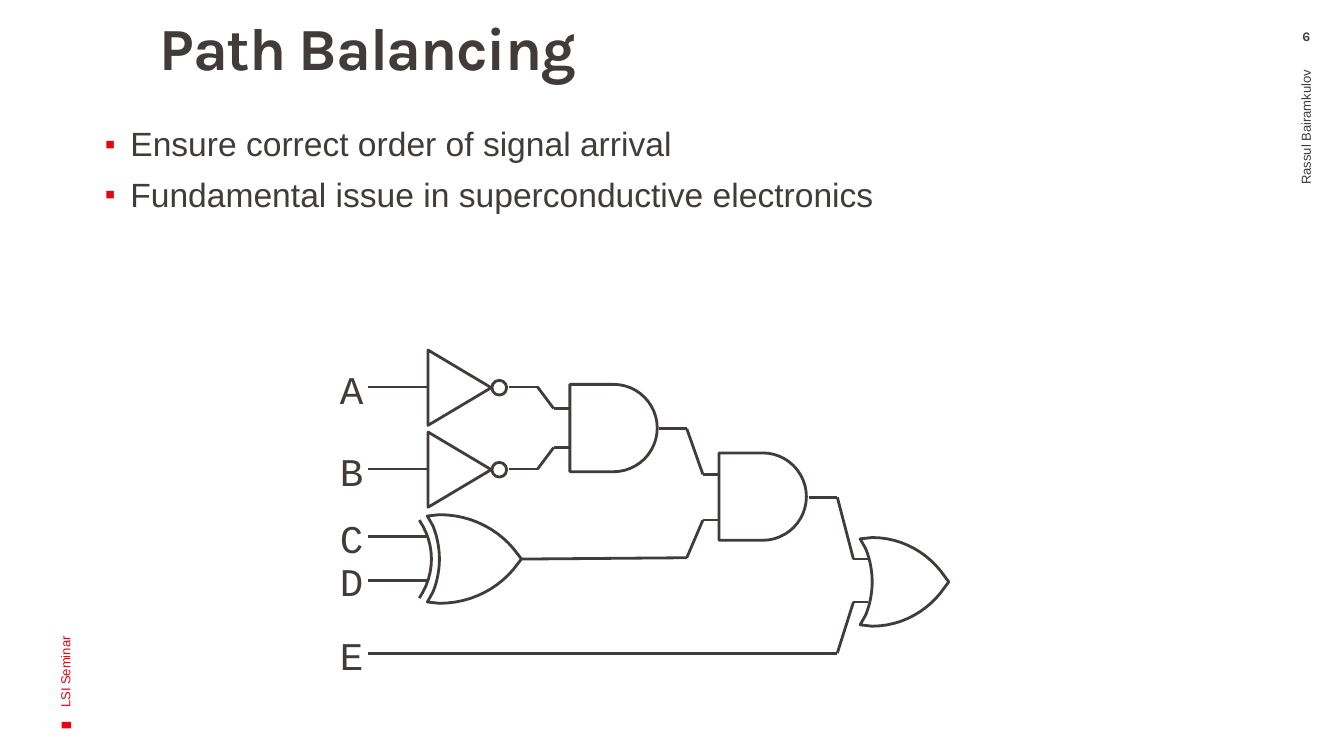
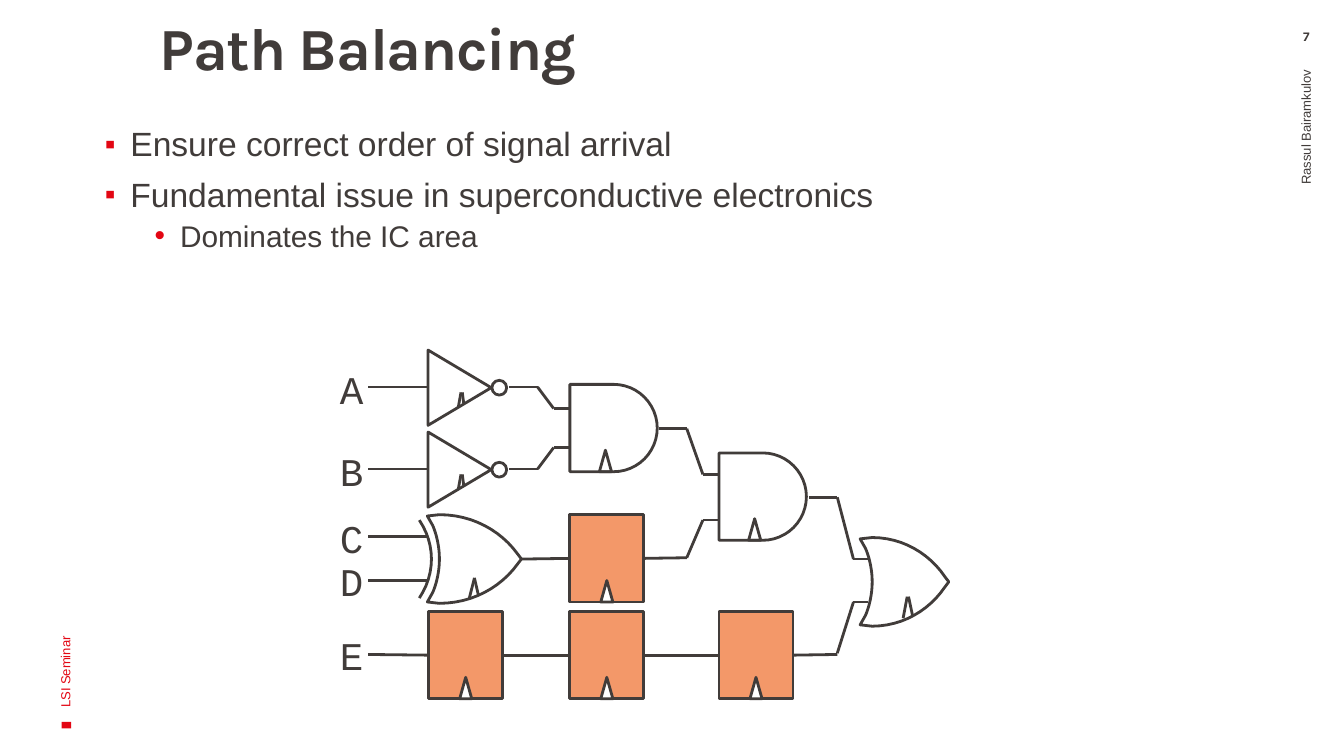
"""Build two slides on path balancing with a logic circuit drawn from native shapes."""
from lxml import etree
from pptx import Presentation
from pptx.dml.color import RGBColor
from pptx.enum.shapes import MSO_CONNECTOR, MSO_SHAPE
from pptx.enum.text import MSO_ANCHOR, MSO_AUTO_SIZE, PP_ALIGN
from pptx.oxml.ns import qn
from pptx.util import Inches, Pt

RED = RGBColor(0xE3, 0x06, 0x13)
INK = RGBColor(0x41, 0x3C, 0x3A)
PEACH = RGBColor(0xF3, 0x98, 0x69)
WHITE = RGBColor(0xFF, 0xFF, 0xFF)
LEFT, MID, RIGHT = PP_ALIGN.LEFT, PP_ALIGN.CENTER, PP_ALIGN.RIGHT
TOP, CENTER = MSO_ANCHOR.TOP, MSO_ANCHOR.MIDDLE
FIXED, GROW = MSO_AUTO_SIZE.NONE, MSO_AUTO_SIZE.SHAPE_TO_FIT_TEXT
RECT, OVAL = MSO_SHAPE.RECTANGLE, MSO_SHAPE.OVAL
PEAK, DELAY = MSO_SHAPE.ISOSCELES_TRIANGLE, MSO_SHAPE.FLOWCHART_DELAY
STRAIGHT = MSO_CONNECTOR.STRAIGHT

TITLE = "Path Balancing"
EVENT = "LSI Seminar"
AUTHOR = "Rassul Bairamkulov "
POINTS = [
    ("Ensure correct order of signal arrival", 0),
    ("Fundamental issue in superconductive electronics", 0),
]
SLIDES = [
    {"page": "6", "points": POINTS, "clock": False},
    {"page": "7", "points": POINTS + [("Dominates the IC area", 1)], "clock": True},
]
LEVELS = [
    {"size": 18, "mark": "▪", "scale": 90, "indent": 0.19, "before": 7.5},
    {"size": 16, "mark": "•", "scale": 100, "indent": 0.56, "before": 3.8},
]
HANG = 0.19

INPUTS = [("A", 2.67), ("B", 3.28), ("C", 3.78), ("D", 4.1), ("E", 4.65)]
NOTS = [2.88, 3.49]
ANDS = [(4.24, 2.86), (5.35, 3.37)]
XOR, OR = (3.18, 3.83, 0.7), (6.4, 4, 0.66)
CELL_W, CELL_H = 0.55, 0.65
CELLS = [(4.24, 3.83), (3.19, 4.55), (4.24, 4.55), (5.35, 4.55)]
START = 2.74
WIRES = [[(START, y), (3.18, y)] for y in (2.88, 3.49, 3.99, 4.32)] + [
    [(3.79, 2.88), (4, 2.88), (4.12, 3.04), (4.24, 3.04)],
    [(3.79, 3.49), (4, 3.49), (4.12, 3.33), (4.24, 3.33)],
    [(4.9, 3.19), (5.11, 3.19), (5.23, 3.53), (5.35, 3.53)],
    [(5.11, 4.15), (5.23, 3.87), (5.35, 3.87)],
    [(6.02, 3.7), (6.23, 3.7), (6.35, 4.16), (6.46, 4.16)],
    [(6.23, 4.86), (6.35, 4.48), (6.46, 4.48)],
]
DIRECT = [
    [(3.88, 4.16), (5.11, 4.15)],
    [(START, 4.86), (6.23, 4.86)],
    [(5.9, 4.86), (6.23, 4.86)],
]
TIMED = [
    [(3.88, 4.16), (4.24, 4.16)],
    [(4.78, 4.16), (5.11, 4.15)],
    [(START, 4.87), (3.18, 4.87)],
    [(3.74, 4.87), (4.24, 4.87)],
    [(4.78, 4.87), (5.35, 4.87)],
    [(5.9, 4.87), (6.23, 4.87)],
]
TICKS = [[(3.41, y + 0.15), (3.43, y + 0.04)] for y in NOTS]
TICKS += [[(3.44, y + 0.04), (3.45, y + 0.12)] for y in NOTS]
TICKS += [
    [(3.49, 4.46), (3.53, 4.3), (3.56, 4.43)],
    [(6.72, 4.6), (6.75, 4.44)],
    [(6.76, 4.44), (6.79, 4.58)],
]


def bullet(para, look):
    """Give a paragraph its red bullet and hanging indent."""
    props = para._p.get_or_add_pPr()
    props.set("marL", str(Inches(look["indent"])))
    props.set("indent", str(-Inches(HANG)))
    tint = etree.SubElement(props, qn("a:buClr"))
    etree.SubElement(tint, qn("a:srgbClr"), val=str(RED))
    etree.SubElement(props, qn("a:buSzPct"), val=str(look["scale"] * 1000))
    etree.SubElement(props, qn("a:buFont"), typeface="Arial")
    etree.SubElement(props, qn("a:buChar"), char=look["mark"])


def write(para, text, *, size, font="Arial", color=INK, bold=False,
          align=LEFT, spacing=None, before=0, track=None):
    """Fill one paragraph with formatted text."""
    run = para.add_run()
    run.text = text
    run.font.size = Pt(size)
    run.font.name = font
    run.font.bold = bold
    run.font.color.rgb = color
    para.alignment = align
    para.space_before = Pt(before)
    if spacing:
        para.line_spacing = spacing
    if track:
        run._r.get_or_add_rPr().set("spc", str(track))


def frame(shape, box, inset=(0.1, 0.05, 0.1, 0.05), anchor=TOP, wrap=True, fit=FIXED):
    """Place a text shape, set its margins and return its first paragraph."""
    shape.left, shape.top, shape.width, shape.height = map(Inches, box)
    body = shape.text_frame
    body.auto_size = fit
    body.word_wrap = wrap
    body.vertical_anchor = anchor
    (body.margin_left, body.margin_top,
     body.margin_right, body.margin_bottom) = map(Inches, inset)
    return body.paragraphs[0]


def label(slide, text, box, turn=0, inset=(0.1, 0.05, 0.1, 0.05),
          anchor=CENTER, wrap=True, fit=FIXED, **style):
    """Add a text box with one line of text."""
    item = slide.shapes.add_textbox(*map(Inches, box))
    write(frame(item, box, inset, anchor, wrap, fit), text, **style)
    item.rotation = turn


def ink(shape, fill=None):
    """Give a shape the circuit outline and an optional fill."""
    shape.shadow.inherit = False
    if fill is None:
        shape.fill.background()
    else:
        shape.fill.solid()
        shape.fill.fore_color.rgb = fill
    shape.line.color.rgb = INK
    shape.line.width = Pt(1.5)


def block(slide, kind, box, fill=None, turn=0):
    """Add an outlined preset shape."""
    shape = slide.shapes.add_shape(kind, *map(Inches, box))
    ink(shape, fill)
    shape.rotation = turn
    return shape


def curve(a, b, c, d, steps=12):
    """Return points along a cubic curve, without its first point."""
    spots = []
    for i in range(1, steps + 1):
        t = i / steps
        u = 1 - t
        mix = (u ** 3, 3 * u * u * t, 3 * u * t * t, t ** 3)
        spots.append(tuple(sum(m * p[k] for m, p in zip(mix, (a, b, c, d)))
                           for k in (0, 1)))
    return spots


def outline(slide, spots, close):
    """Add a freeform through points given in inches."""
    pts = [(Inches(x), Inches(y)) for x, y in spots]
    form = slide.shapes.build_freeform(*pts[0])
    form.add_line_segments(pts[1:], close=close)
    ink(form.convert_to_shape())


def shield(slide, x, y, wide):
    """Draw the body of an OR gate."""
    high, half = 0.66, 0.33
    start, back, tip = (0.09, 0), (0.09, half), (wide, half)
    over = [(wide - 0.03, 0.29), (wide * 0.78, 0.12), (wide * 0.48, 0), start]
    under = [(px, high - py) for px, py in reversed(over)]
    spots = [start, (0, 0.01), (0.04, 0.08)]
    spots += curve(spots[-1], (0.07, 0.15), (0.09, 0.24), back)
    spots += curve(back, (0.09, 0.42), (0.07, 0.51), (0.04, 0.58))
    spots += [(0, high - 0.01), under[0]]
    spots += curve(*under) + [tip, over[0]] + curve(*over)
    outline(slide, [(x + px, y + py) for px, py in spots], True)


def wire(slide, route, cells=()):
    """Draw a route as straight connectors, joined to cells at side middles."""
    for start, end in zip(route, route[1:]):
        line = slide.shapes.add_connector(STRAIGHT, *map(Inches, start + end))
        line.line.color.rgb = INK
        line.line.width = Pt(1.5)
        etree.SubElement(line._element.spPr, qn("a:effectLst"))
        for cell, x, y in cells:
            for side, edge in ((1, x), (3, x + CELL_W)):
                for spot, join in ((start, line.begin_connect), (end, line.end_connect)):
                    gap = abs(spot[0] - edge) + abs(spot[1] - y - CELL_H / 2)
                    if gap < 0.04:
                        join(cell, side)


def circuit(slide, clock):
    """Draw the gates and wires, with registers and clock marks if clocked."""
    for name, y in INPUTS:
        label(slide, name, (2.43, y, 0.34, 0.44), wrap=False, fit=GROW,
              size=21, font="Courier New", align=MID)
    for y in NOTS:
        block(slide, PEAK, (3.14, y - 0.23, 0.56, 0.47), turn=90)
        block(slide, OVAL, (3.66, y - 0.05, 0.11, 0.11))
    for x, y in ANDS:
        block(slide, DELAY, (x, y, 0.65, 0.65))
        if clock:
            block(slide, PEAK, (x + 0.22, y + 0.49, 0.09, 0.16))
    for gate in (XOR, OR):
        shield(slide, *gate)
    ends = (3.12, 3.87), (3.24, 4.05), (3.24, 4.27), (3.12, 4.45)
    outline(slide, [ends[0]] + curve(*ends), False)
    cells = []
    if clock:
        for x, y in CELLS:
            cells.append((block(slide, RECT, (x, y, CELL_W, CELL_H), PEACH), x, y))
            block(slide, PEAK, (x + 0.23, y + 0.49, 0.09, 0.16), WHITE)
    for route in WIRES + (TIMED + TICKS if clock else DIRECT):
        wire(slide, route, cells)


def page(deck, data):
    """Build one slide with its title, margin text, circuit and list."""
    slide = deck.slides.add_slide(deck.slide_layouts[1])
    head = frame(slide.shapes.title, (0.99, 0.14, 6.82, 0.6), (0.2, 0, 0.08, 0.05))
    write(head, TITLE, size=32, font="Karla", bold=True, spacing=0.9, track=-70)
    mark = block(slide, RECT, (0.47, 5.36, 0.05, 0.07), RED, 270)
    mark.line.fill.background()
    label(slide, EVENT, (-1.34, 3.04, 3.65, 1), 270, size=7, color=RED)
    label(slide, AUTHOR, (7.78, 2.05, 3.87, 0.56), 270, size=7, align=RIGHT)
    label(slide, data["page"], (9.44, 0.21, 0.56, 0.18), inset=(0.1, 0, 0.1, 0),
          anchor=TOP, size=7, font="Karla", bold=True, align=MID)
    circuit(slide, data["clock"])
    body = slide.placeholders[1]
    para = frame(body, (0.58, 0.9, 8.41, 1.51), (0.2, 0.05, 0.1, 0.05))
    for i, (text, level) in enumerate(data["points"]):
        if i:
            para = body.text_frame.add_paragraph()
        look = LEVELS[level]
        para.level = level
        bullet(para, look)
        write(para, text, size=look["size"], spacing=0.9,
              before=look["before"] if i else 0)


def main():
    """Create and save the deck."""
    deck = Presentation()
    deck.slide_width = Inches(10)
    deck.slide_height = deck.slide_width * 9 // 16
    for data in SLIDES:
        page(deck, data)
    deck.save("out.pptx")


if __name__ == "__main__":
    main()
